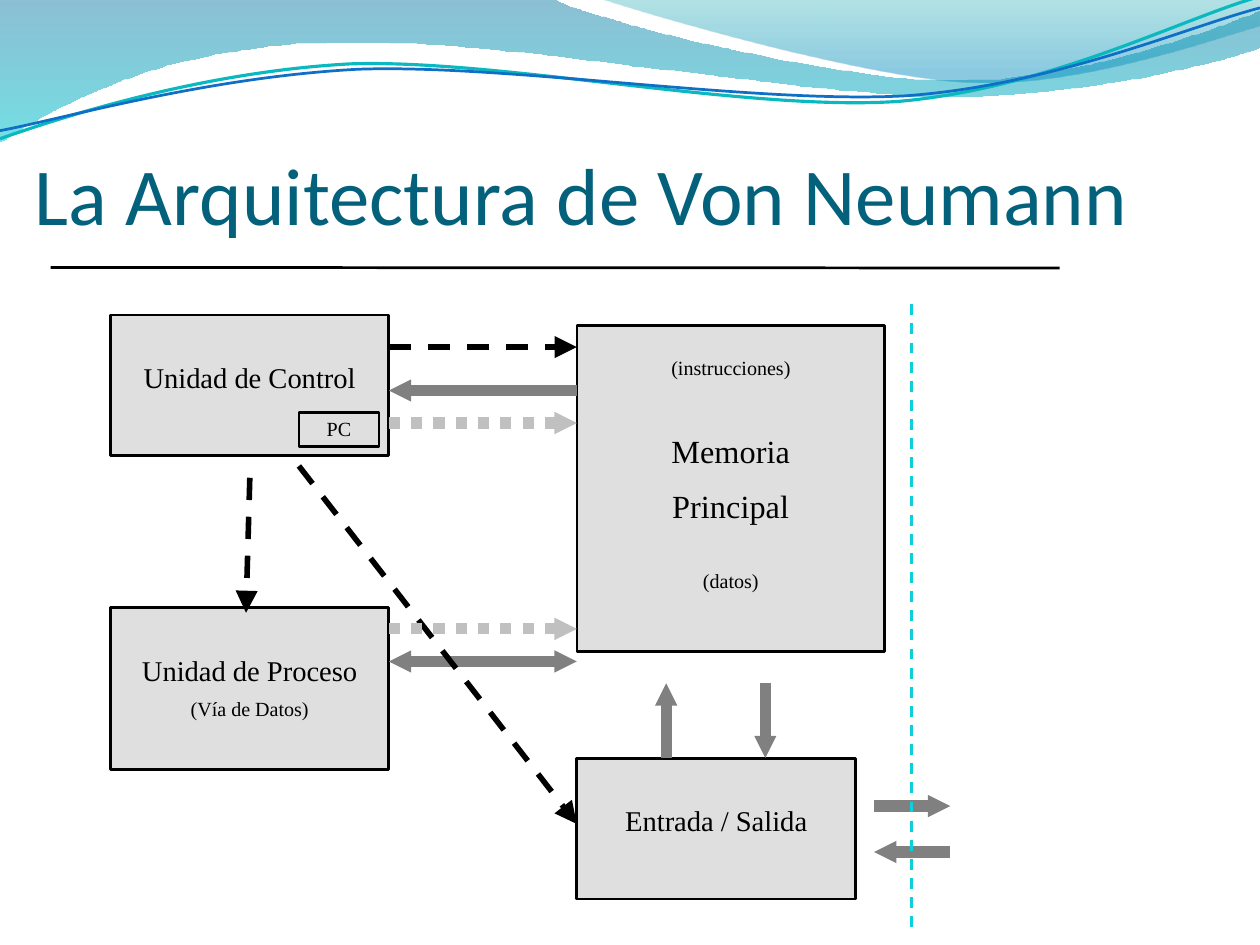
import pptx
import pptx.util
import pptx.dml.color
import pptx.enum.dml
import pptx.enum.shapes
import pptx.enum.text
import pptx.oxml
import pptx.oxml.ns

COLUMNS, ROWS = 472, 354
CELL = pptx.util.Inches(0.01)
SERIF = "Times New Roman"
BLACK, GREY, SILVER = "000000", "808080", "C0C0C0"
DASH = pptx.enum.dml.MSO_LINE.DASH
DOT = pptx.enum.dml.MSO_LINE.ROUND_DOT

HEADING = "La Arquitectura de Von Neumann"

WAVE_FILLS = [
    ([(0, 0), (208, 0), (225, 8, 313, 30, 358, 30), (403, 30, 453, 12, 472, 4),
      (473, 17), (465, 21, 411, 36, 352, 36), (294, 35, 180, 13, 122, 16),
      (61, 17, 22, 39, 0, 53)],
     [(0, "0074A1", 45), (1, "00C6CF", 55)]),
    ([(226, 0), (241, 5, 322, 29, 363, 31), (404, 33, 454, 15, 472, 10), (472, 0)],
     [(0, "00A1A9", 30), (0.8, "008BBF", 45)]),
]
WAVE_LINES = [
    ([(0, 52), (23, 44, 75, 27, 131, 24), (187, 22, 280, 42, 337, 38),
      (393, 33, 443, 7, 471, -1)], "0AB8BF", 0.85),
    ([(0, 49), (22, 45, 77, 29, 134, 26), (190, 24, 282, 39, 339, 36),
      (395, 32, 445, 10, 472, 3)], "0F6FC6", 0.75),
]

LEFT, MEMORY = 41.3, 216.1
UNIT_WIDTH, UNIT_HEIGHT = 104.4, 52.8
BUS_START = LEFT + UNIT_WIDTH
PORT_START, PORT_END = 327.5, 356
IO_TOP = 284

UNITS = [
    ((LEFT, 118, UNIT_WIDTH, UNIT_HEIGHT), 16.9, [("Unidad de Control", 7.7, 0)]),
    ((LEFT, 227.6, UNIT_WIDTH, 60.8), 16.9,
     [("Unidad de Proceso", 7.7, 0), ("(Vía de Datos)", 5.4, 2.5)]),
    ((MEMORY, 122, 115.3, 122.2), 11.3,
     [("(instrucciones)", 5.4, 0), ("Memoria", 8.7, 13.9),
      ("Principal", 8.7, 4.35), ("(datos)", 5.4, 11.9)]),
    ((MEMORY, IO_TOP, UNIT_WIDTH, UNIT_HEIGHT), 16.9, [("Entrada / Salida", 7.7, 0)]),
]
COUNTER = ((112, 154.5, 30, 13), 1.7, [("PC", 5.4, 0)])

DATA = dict(colour=GREY, width=3, head="sm")
ADDRESS = dict(colour=SILVER, width=3, dash=DOT, head="sm")
CONTROL = dict(colour=BLACK, width=1.5, dash=DASH, head="med")
FLOWS = [
    ((BUS_START, 247.8), (MEMORY, 247.8), dict(DATA, both=True)),
    ((MEMORY, 146.3), (BUS_START, 146.3), DATA),
    ((249.6, IO_TOP), (249.6, 256), DATA),
    ((286.7, 256), (286.7, IO_TOP), DATA),
    ((BUS_START, 158.5), (MEMORY, 158.5), ADDRESS),
    ((93.6, 179), (92.2, 229.6), CONTROL),
    ((112, 174.6), (MEMORY, 308.7), CONTROL),
    ((BUS_START, 130), (MEMORY, 130), CONTROL),
    ((BUS_START, 235.6), (MEMORY, 235.6), ADDRESS),
    ((PORT_START, 302), (PORT_END, 302), DATA),
    ((PORT_END, 319.2), (PORT_START, 319.2), DATA),
]


def cells(values):
    return [round(value * CELL) for value in values]


def colour_of(code):
    return pptx.dml.color.RGBColor.from_string(code)


def add_alpha(shape, percents):
    colours = shape.fill._xPr.iter(pptx.oxml.ns.qn("a:srgbClr"))
    for colour, percent in zip(list(colours), percents):
        colour.append(pptx.oxml.parse_xml(
            f'<a:alpha {pptx.oxml.ns.nsdecls("a")} val="{percent * 1000}"/>'))


def write(paragraph, text, size, font=SERIF, colour=BLACK, before=0, align="CENTER"):
    paragraph.alignment = getattr(pptx.enum.text.PP_ALIGN, align)
    paragraph.space_before = pptx.util.Pt(before)
    run = paragraph.add_run()
    run.text = text
    run.font.size = pptx.util.Pt(size)
    run.font.name = font
    run.font.color.rgb = colour_of(colour)


def set_frame(frame, insets, anchor):
    frame.word_wrap = True
    frame.auto_size = pptx.enum.text.MSO_AUTO_SIZE.NONE
    frame.vertical_anchor = getattr(pptx.enum.text.MSO_ANCHOR, anchor)
    (frame.margin_left, frame.margin_top,
     frame.margin_right, frame.margin_bottom) = cells(insets)


def set_line(line, colour, width):
    line.color.rgb = colour_of(colour)
    line.width = pptx.util.Pt(width)


def add_wave(shapes, outline, close):
    points = [cells(segment[i:i + 2]) for segment in outline
              for i in range(0, len(segment), 2)]
    builder = shapes.build_freeform(*points[0], scale=1.0)
    builder.add_line_segments(points[1:], close=close)
    wave = builder.convert_to_shape()
    wave.shadow.inherit = False
    strokes = iter(list(wave._element.iter(pptx.oxml.ns.qn("a:lnTo"))))
    for segment in outline[1:]:
        stroke = next(strokes)
        if len(segment) == 6:
            curve = pptx.oxml.parse_xml(f'<a:cubicBezTo {pptx.oxml.ns.nsdecls("a")}/>')
            stroke.addprevious(curve)
            for part in (stroke, next(strokes), next(strokes)):
                curve.append(part[0])
                part.getparent().remove(part)
    return wave


def add_unit(shapes, place, top, lines, side=5, filled=True):
    unit = shapes.add_shape(pptx.enum.shapes.MSO_SHAPE.RECTANGLE, *cells(place))
    unit.shadow.inherit = False
    if filled:
        unit.fill.solid()
        unit.fill.fore_color.rgb = colour_of(SILVER)
        add_alpha(unit, [50])
    else:
        unit.fill.background()
    set_line(unit.line, BLACK, 0.75)
    frame = unit.text_frame
    set_frame(frame, (side, top, side, 0), "TOP")
    for index, (text, size, before) in enumerate(lines):
        paragraph = frame.add_paragraph() if index else frame.paragraphs[0]
        write(paragraph, text, size, before=before)


def add_flow(shapes, start, end, colour, width, dash=None, head=None, both=False):
    flow = shapes.add_connector(pptx.enum.shapes.MSO_CONNECTOR.STRAIGHT,
                                *cells(start + end))
    set_line(flow.line, colour, width)
    if dash is not None:
        flow.line.dash_style = dash
    namespace = pptx.oxml.ns.nsdecls("a")
    for tag in ["headEnd"] * both + ["tailEnd"] * bool(head):
        flow.line._ln.append(pptx.oxml.parse_xml(
            f'<a:{tag} {namespace} type="triangle" w="{head}" len="{head}"/>'))
    flow._element.spPr.append(pptx.oxml.parse_xml(f"<a:effectLst {namespace}/>"))


def main():
    deck = pptx.Presentation()
    deck.slide_width, deck.slide_height = cells((COLUMNS, ROWS))
    slide = deck.slides.add_slide(deck.slide_layouts[5])
    shapes = slide.shapes

    heading = shapes.title
    heading.left, heading.top, heading.width, heading.height = cells((13, 26.6, 472, 64))
    set_frame(heading.text_frame, (0, 2, 0, 0), "BOTTOM")
    write(heading.text_frame.paragraphs[0], HEADING, 21.8,
          font="Calibri", colour="04617B", align="LEFT")

    for outline, stops in WAVE_FILLS:
        wave = add_wave(shapes, outline, True)
        wave.line.fill.background()
        wave.fill.gradient()
        wave.fill.gradient_angle = 270
        for stop, (position, colour, _) in zip(wave.fill.gradient_stops, stops):
            stop.position = position
            stop.color.rgb = colour_of(colour)
        add_alpha(wave, [alpha for _, _, alpha in stops])
    for outline, colour, width in WAVE_LINES:
        wave = add_wave(shapes, outline, False)
        wave.fill.background()
        set_line(wave.line, colour, width)

    add_flow(shapes, (19, 100.2), (397, 100.4), BLACK, 0.75)
    for place, top, lines in UNITS:
        add_unit(shapes, place, top, lines)
    for start, end, style in FLOWS:
        add_flow(shapes, start, end, **style)
    add_unit(shapes, *COUNTER, side=2, filled=False)
    add_flow(shapes, (341.6, 114), (341.6, 348), "0BD0D9", 0.75, dash=DASH)

    deck.save("out.pptx")


if __name__ == "__main__":
    main()
